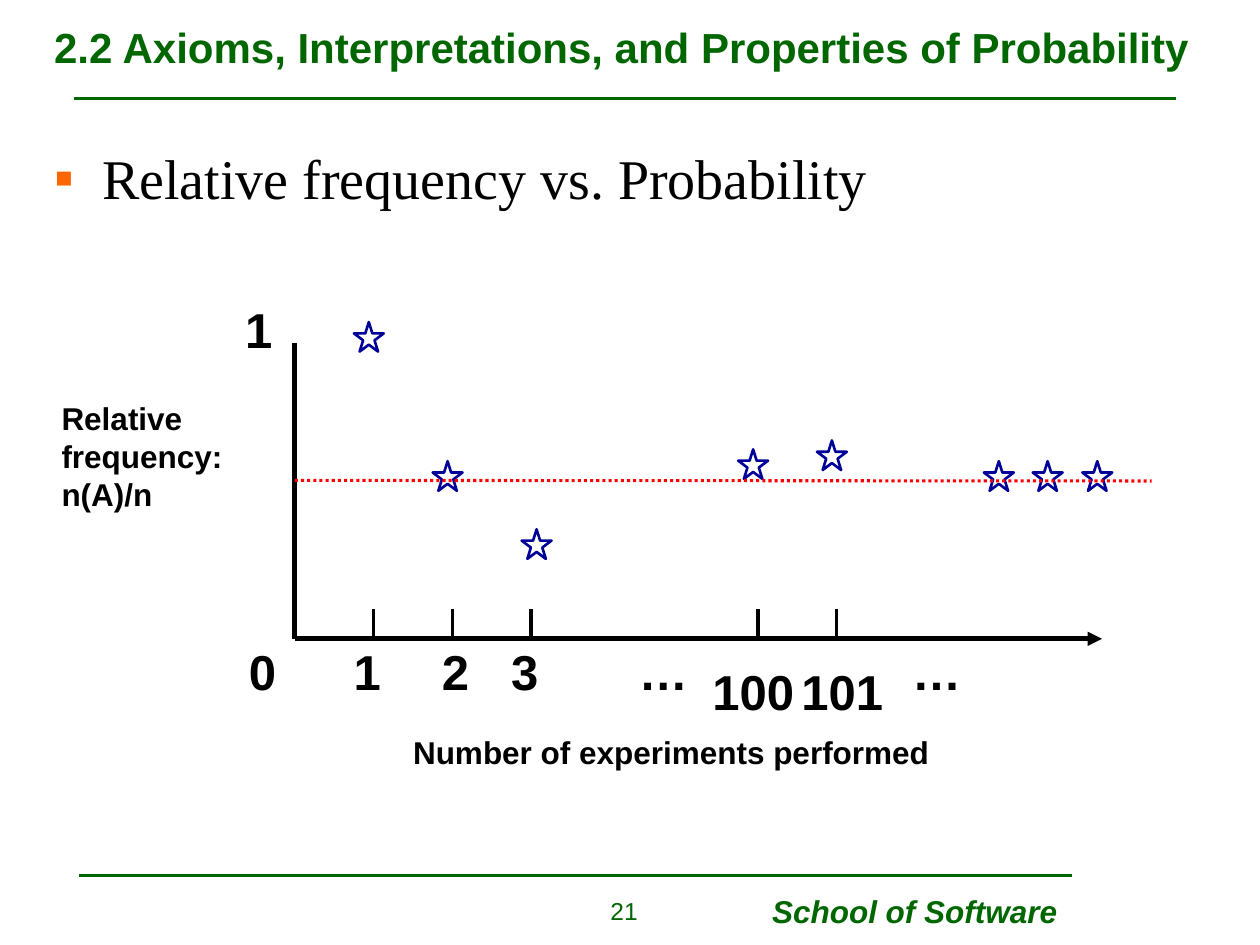
from dataclasses import dataclass

from lxml.etree import SubElement
from pptx import Presentation
from pptx.dml.color import RGBColor
from pptx.enum.dml import MSO_LINE
from pptx.enum.shapes import MSO_CONNECTOR, MSO_SHAPE
from pptx.enum.text import MSO_ANCHOR as Anchor, MSO_AUTO_SIZE as AutoSize, PP_ALIGN as Align
from pptx.oxml.ns import qn
from pptx.util import Inches, Pt


@dataclass(frozen=True)
class Theme:
    green: str = "006600"
    black: str = "000000"
    orange: str = "FF6600"
    blue: str = "000099"
    red: str = "FF0000"
    sans: str = "Arial"
    serif: str = "Times New Roman"
    title: int = 24
    body: int = 32
    tick: int = 28
    caption: int = 18
    number: int = 14


THEME = Theme()


@dataclass(frozen=True)
class Box:
    """A rectangle on the slide, divided into columns and rows."""
    left: int
    top: int
    width: int
    height: int
    columns: int = 100
    rows: int = 100

    def point(self, column, row):
        return (round(self.left + self.width * column / self.columns),
                round(self.top + self.height * row / self.rows))

    def area(self, column, row, wide, high, columns=100, rows=100):
        return Box(*self.point(column, row), round(self.width * wide / self.columns),
                   round(self.height * high / self.rows), columns, rows)

    def centred(self, column, row, wide, high):
        return self.area(column - wide / 2, row - high / 2, wide, high)

    @property
    def frame(self):
        return self.left, self.top, self.width, self.height


def write(shape, text, *, size, color=THEME.black, font=THEME.sans, bold=False,
          italic=False, align=Align.LEFT, anchor=Anchor.TOP, wrap=False):
    """Fill a shape with text, one paragraph for each line."""
    frame = shape.text_frame
    frame.word_wrap = wrap
    frame.auto_size = AutoSize.NONE
    frame.vertical_anchor = anchor
    frame.text = text
    for paragraph in frame.paragraphs:
        paragraph.alignment = align
        paragraph.space_before = Pt(0)
        for run in paragraph.runs:
            run.font.name, run.font.size = font, Pt(size)
            run.font.bold, run.font.italic = bold, italic
            run.font.color.rgb = RGBColor.from_string(color)


def add_text(slide, box, text, **text_format):
    write(slide.shapes.add_textbox(*box.frame), text, **text_format)


def add_line(slide, start, end, color, width, dash=None, arrow=False):
    connector = slide.shapes.add_connector(MSO_CONNECTOR.STRAIGHT, *start, *end)
    line = connector.line
    line.color.rgb = RGBColor.from_string(color)
    line.width = Pt(width)
    if dash:
        line.dash_style = dash
    properties = connector._element.spPr
    if arrow:
        SubElement(properties.find(qn("a:ln")), qn("a:tailEnd"), type="triangle")
    SubElement(properties, qn("a:effectLst"))


def place(shape, box):
    shape.left, shape.top, shape.width, shape.height = box.frame


def add_bullet(paragraph, symbol, color, indent):
    properties = paragraph._p.get_or_add_pPr()
    properties.set("marL", str(indent))
    properties.set("indent", str(-indent))
    bullet_color = SubElement(properties, qn("a:buClr"))
    SubElement(bullet_color, qn("a:srgbClr"), val=color)
    SubElement(properties, qn("a:buChar"), char=symbol)


def build_header(slide, box):
    title = slide.shapes.title
    place(title, box.area(3.3, 3, 93.4, 68))
    write(title, "2.2 Axioms, Interpretations, and Properties of Probability",
          size=THEME.title, color=THEME.green, bold=True, anchor=Anchor.MIDDLE, wrap=True)
    add_line(slide, box.point(5.9, 78), box.point(93.3, 78), THEME.green, 1.5)


def build_body(slide, box):
    body = slide.placeholders[1]
    place(body, box)
    write(body, "Relative frequency vs. Probability",
          size=THEME.body, font=THEME.serif, wrap=True)
    add_bullet(body.text_frame.paragraphs[0], "▪", THEME.orange, Inches(0.38))


def build_plot(slide, box):
    """Draw the plot: one column per experiment, ten rows from 1 down to 0."""
    floor = box.rows
    add_line(slide, box.point(0, floor), box.point(10.25, floor), THEME.black, 2.75, arrow=True)
    add_line(slide, box.point(0, floor), box.point(0, 0), THEME.black, 3)
    for column in (1, 2, 3, 5.88, 6.88):
        add_line(slide, box.point(column, floor - 1), box.point(column, floor), THEME.black, 2)

    labels = [("1", -0.46, -0.45), ("0", -0.41, 11.09), ("1", 0.92, 11.09),
              ("2", 2.04, 11.09), ("3", 2.92, 11.09), ("…", 4.68, 11.09),
              ("100", 5.82, 11.77), ("101", 6.95, 11.77), ("…", 8.15, 11.09)]
    for text, column, row in labels:
        add_text(slide, box.centred(column, row, 1.36, 2.43), text,
                 size=THEME.tick, bold=True, align=Align.CENTER)

    frequencies = [(0.94, 1.02), (1.94, 0.55), (3.07, 0.32), (5.82, 0.59), (6.82, 0.62),
                   (8.94, 0.55), (9.56, 0.55), (10.19, 0.55)]
    for column, frequency in frequencies:
        star_box = box.centred(column, floor * (1 - frequency), 0.38, 1)
        star = slide.shapes.add_shape(MSO_SHAPE.STAR_5_POINT, *star_box.frame)
        star.shadow.inherit = False
        star.fill.background()
        star.line.color.rgb = RGBColor.from_string(THEME.blue)
        star.line.width = Pt(1.5)

    add_line(slide, box.point(0, 4.65), box.point(10.88, 4.67), THEME.red, 1.75,
             dash=MSO_LINE.ROUND_DOT)
    add_text(slide, box.area(-3.12, 1.7, 2.37, 4.26), "Relative\nfrequency:\nn(A)/n",
             size=THEME.caption, bold=True)
    add_text(slide, box.area(1.34, 14.6, 6.88, 1.7).centred(50, -45, 100, 100),
             "Number of experiments performed",
             size=THEME.caption, bold=True, align=Align.CENTER)


def build_footer(slide, box):
    add_line(slide, box.point(6.3, 0), box.point(85.1, 0), THEME.green, 1.5)
    add_text(slide, box.area(41.4, 20, 10.2, 65), "21", size=THEME.number,
             color=THEME.green, align=Align.RIGHT, wrap=True)
    add_text(slide, box.area(60.3, 15, 24.6, 73), "School of Software", size=THEME.caption,
             color=THEME.green, bold=True, italic=True)


def main():
    presentation = Presentation()
    presentation.slide_width, presentation.slide_height = Inches(10), Inches(7.5)
    slide = presentation.slides.add_slide(presentation.slide_layouts[1])
    page = Box(0, 0, presentation.slide_width, presentation.slide_height)
    build_header(slide, page.area(0, 0, 100, 13.33))
    build_body(slide, page.area(3.3, 14.53, 93.4, 77.07))
    build_plot(slide, page.area(23.4, 36.27, 62.5, 31.33, columns=10, rows=10))
    build_footer(slide, page.area(0, 92.67, 100, 7.33))
    presentation.save("out.pptx")


if __name__ == "__main__":
    main()
